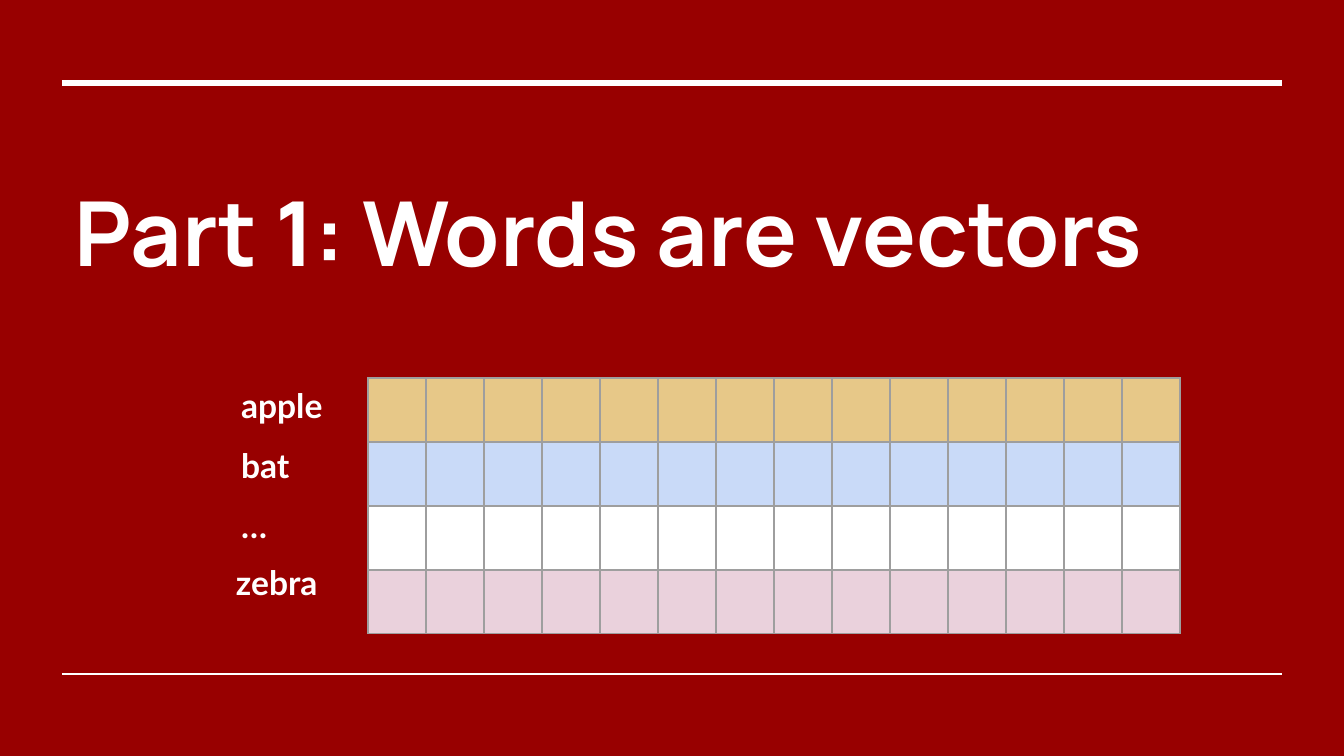
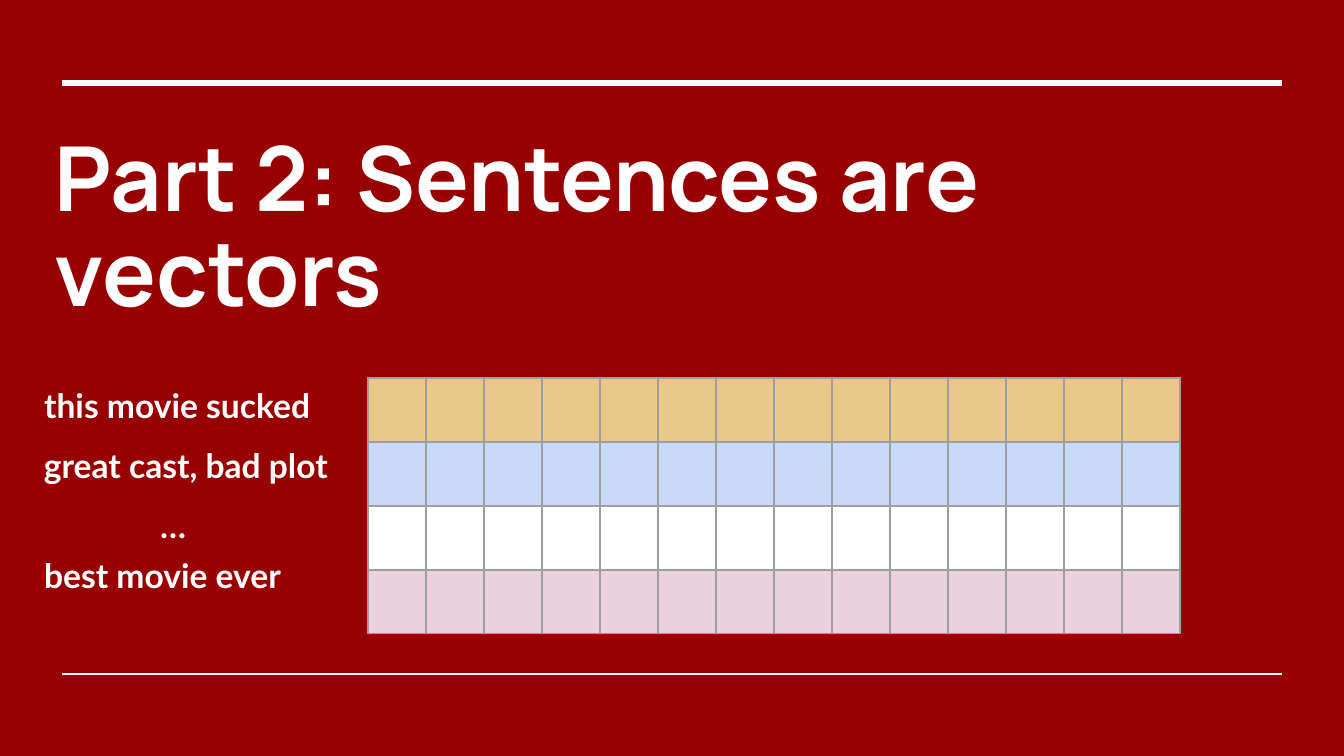
from lxml.etree import SubElement
from pptx import Presentation
from pptx.dml.color import RGBColor
from pptx.enum.shapes import MSO_CONNECTOR
from pptx.enum.text import MSO_ANCHOR
from pptx.oxml.ns import qn
from pptx.util import Emu, Pt

SLIDE_WIDTH, SLIDE_HEIGHT = 1344, 756
EMU_PER_PX = 9144000 / SLIDE_WIDTH
COLORS = {
    "background": "980000",
    "white": "FFFFFF",
    "grid": "9E9E9E",
    "gold": "E7C888",
    "blue": "C9DAF8",
    "pink": "EAD1DC",
}
TITLE_FONT, LABEL_FONT = "Manrope", "Lato"
VECTOR_ROWS = ["gold", "blue", "white", "pink"]
VECTOR_LENGTH, CELL_WIDTH, CELL_HEIGHT = 14, 58, 64
INSET = 13
LABEL_HEIGHT = 42

# Labels are (text, left, top, width)
SLIDES = [
    {
        "title": "Part 1: Words are vectors",
        "title_box": (62, 117, 1219, 227),
        "line_spacing": 1.0,
        "labels": [
            ("apple", 228, 372, 110),
            ("bat", 228, 432, 110),
            ("…", 228, 492, 110),
            ("zebra", 223, 549, 125),
        ],
    },
    {
        "title": "Part 2: Sentences are vectors",
        "title_box": (42, 117, 1273, 227),
        "line_spacing": 0.88,
        "labels": [
            ("this movie sucked", 31, 372, 308),
            ("great cast, bad plot", 31, 432, 323),
            ("…", 147, 492, 110),
            ("best movie ever", 31, 542, 308),
        ],
    },
]


def px(length):
    return Emu(round(length * EMU_PER_PX))


def color(name):
    return RGBColor.from_string(COLORS[name])


def add_text(slide, text, box, *, font, size, anchor=MSO_ANCHOR.TOP, line_spacing=1.0):
    shape = slide.shapes.add_textbox(*map(px, box))
    frame = shape.text_frame
    frame.word_wrap = True
    frame.vertical_anchor = anchor
    frame.margin_left = frame.margin_right = px(INSET)
    frame.margin_top = frame.margin_bottom = px(INSET)
    paragraph = frame.paragraphs[0]
    paragraph.line_spacing = line_spacing
    run = paragraph.add_run()
    run.text = text
    run.font.name = font
    run.font.size = Pt(size)
    run.font.bold = True
    run.font.color.rgb = color("white")


def add_rule(slide, top, weight):
    """Draw a white horizontal line across the content width."""
    rule = slide.shapes.add_connector(
        MSO_CONNECTOR.STRAIGHT, px(62), px(top), px(1282), px(top)
    )
    rule.line.color.rgb = color("white")
    rule.line.width = Pt(weight)
    SubElement(rule._element.spPr, qn("a:effectLst"))


def format_cell(cell, fill):
    properties = cell._tc.get_or_add_tcPr()
    for side in ("lnL", "lnR", "lnT", "lnB"):
        border = SubElement(properties, qn(f"a:{side}"), w=str(Pt(0.75)))
        solid = SubElement(border, qn("a:solidFill"))
        SubElement(solid, qn("a:srgbClr"), val=COLORS["grid"])
    cell.fill.solid()
    cell.fill.fore_color.rgb = color(fill)


def add_vector_table(slide, left, top):
    """Add one row of empty cells for each vector."""
    table = slide.shapes.add_table(
        len(VECTOR_ROWS), VECTOR_LENGTH, px(left), px(top),
        px(CELL_WIDTH * VECTOR_LENGTH), px(CELL_HEIGHT * len(VECTOR_ROWS)),
    ).table
    table.first_row = table.horz_banding = False
    for column in table.columns:
        column.width = px(CELL_WIDTH)
    for row, fill in zip(table.rows, VECTOR_ROWS):
        row.height = px(CELL_HEIGHT)
        for cell in row.cells:
            format_cell(cell, fill)


def add_part_slide(presentation, content):
    slide = presentation.slides.add_slide(presentation.slide_layouts[6])
    slide.background.fill.solid()
    slide.background.fill.fore_color.rgb = color("background")
    add_rule(slide, 83, 3)
    add_rule(slide, 674, 1.5)
    add_text(slide, content["title"], content["title_box"], font=TITLE_FONT, size=48,
             anchor=MSO_ANCHOR.MIDDLE, line_spacing=content["line_spacing"])
    add_vector_table(slide, 368, 378)
    for text, left, top, width in content["labels"]:
        add_text(slide, text, (left, top, width, LABEL_HEIGHT), font=LABEL_FONT, size=18)


def main():
    presentation = Presentation()
    presentation.slide_width = px(SLIDE_WIDTH)
    presentation.slide_height = px(SLIDE_HEIGHT)
    for content in SLIDES:
        add_part_slide(presentation, content)
    presentation.save("out.pptx")


if __name__ == "__main__":
    main()
